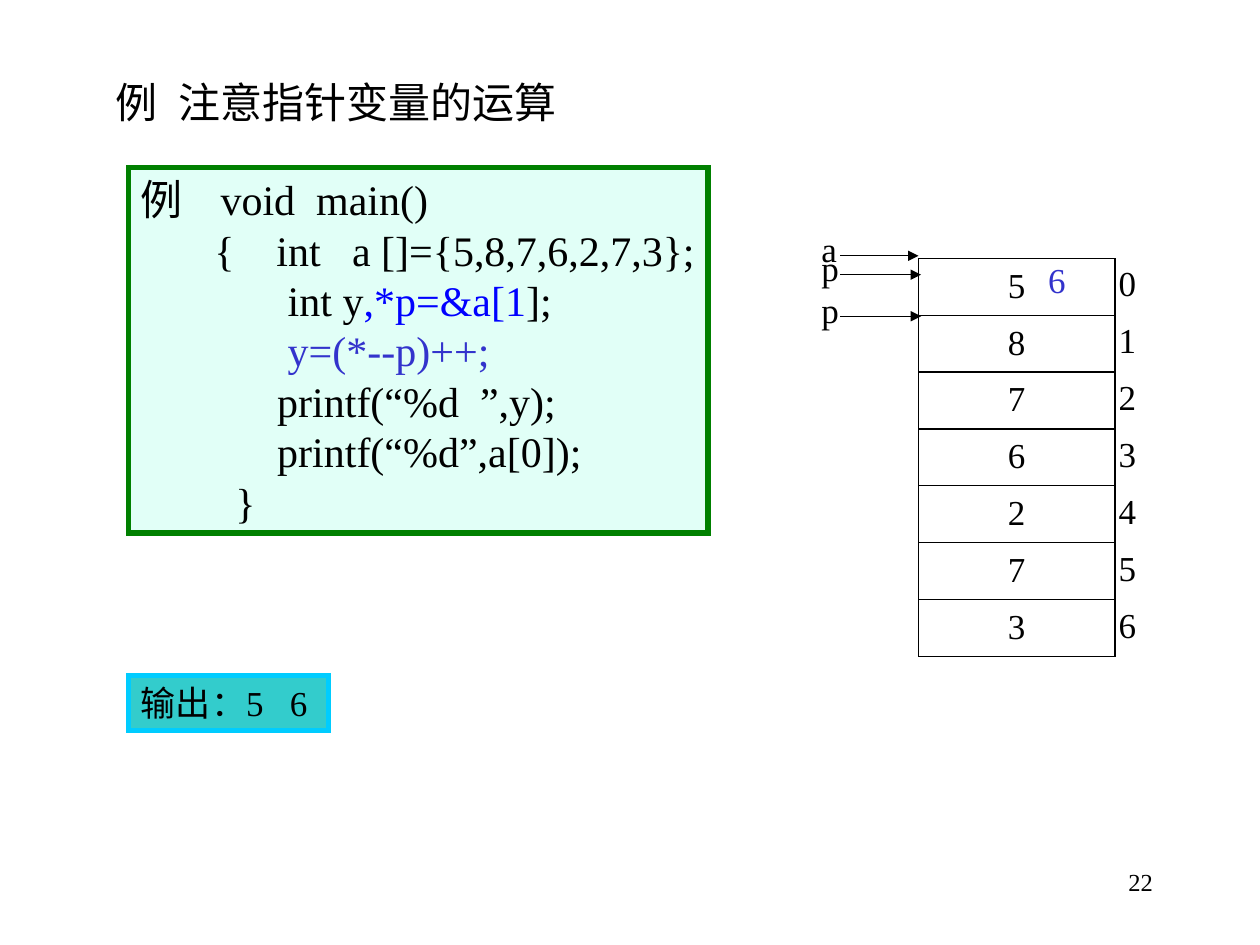
from lxml import etree
from pptx import Presentation
from pptx.dml.color import RGBColor
from pptx.enum.shapes import MSO_CONNECTOR, MSO_SHAPE
from pptx.enum.text import MSO_ANCHOR, MSO_AUTO_SIZE, PP_ALIGN
from pptx.oxml.ns import qn
from pptx.util import Inches, Pt

RECTANGLE = MSO_SHAPE.RECTANGLE
STRAIGHT = MSO_CONNECTOR.STRAIGHT
TOP = MSO_ANCHOR.TOP
FIXED = MSO_AUTO_SIZE.NONE
LEFT, RIGHT = PP_ALIGN.LEFT, PP_ALIGN.RIGHT
FONT = "Times New Roman"
COLORS = {
    "ink": "000000", "paper": "FFFFFF", "code": "E1FFF7", "code_edge": "008000",
    "output": "33CCCC", "output_edge": "00CCFF", "pointer": "0000FF", "change": "3333CC",
}

deck = Presentation()
deck.slide_width, deck.slide_height = Inches(10), Inches(7.5)
slide = deck.slides.add_slide(deck.slide_layouts[5])


def write(text, left, top, width, height, size=20, color="ink", fill=None, edge=None,
          align=LEFT, tab=None, indent=0, box=None):
    if box is None:
        box = slide.shapes.add_shape(RECTANGLE, 0, 0, 0, 0)
        box.shadow.inherit = False
    box.left, box.top, box.width, box.height = map(Inches, (left, top, width, height))
    box.fill.background()
    if fill:
        box.fill.solid()
        box.fill.fore_color.rgb = RGBColor.from_string(COLORS[fill])
    box.line.fill.background()
    if edge:
        box.line.color.rgb = RGBColor.from_string(COLORS[edge])
        box.line.width = Pt(0.75 if edge == "ink" else 3)
        etree.SubElement(box.line._get_or_add_ln(), qn("a:miter"), lim="800000")
    frame = box.text_frame
    frame.word_wrap, frame.auto_size, frame.vertical_anchor = True, FIXED, TOP
    frame.margin_left, frame.margin_right = Inches(0.1), 0
    frame.margin_top = frame.margin_bottom = Inches(0.05)
    lines = [[(text, color)]] if isinstance(text, str) else text
    for number, line in enumerate(lines):
        paragraph = frame.add_paragraph() if number else frame.paragraphs[0]
        paragraph.alignment = align
        paragraph.line_spacing = Pt(size * 1.2)
        properties = paragraph._p.get_or_add_pPr()
        properties.set("marL", str(Inches(indent)))
        properties.set("indent", "0")
        if tab:
            stops = etree.SubElement(properties, qn("a:tabLst"))
            etree.SubElement(stops, qn("a:tab"), pos=str(Inches(tab)), algn="l")
        for words, shade in line:
            run = paragraph.add_run()
            run.text = words
            run.font.name, run.font.size = FONT, Pt(size)
            run.font.color.rgb = RGBColor.from_string(COLORS[shade])


def draw_line(start, end, y, arrow=False):
    rule = slide.shapes.add_connector(STRAIGHT, *map(Inches, (start, y, end, y)))
    rule.line.color.rgb = RGBColor.from_string(COLORS["ink"])
    rule.line.width = Pt(0.75)
    if arrow:
        etree.SubElement(rule.line._get_or_add_ln(), qn("a:tailEnd"), type="triangle")
    etree.SubElement(rule._element.spPr, qn("a:effectLst"))


write("例\t注意指针变量的运算", 0.82, 0.56, 3.9, 0.5, size=24, tab=0.5,
      box=slide.shapes.title)
write("22", 7.17, 6.83, 1.98, 0.5, size=14, align=RIGHT)
write("6", 7.67, 2, 1.08, 0.44, color="change", fill="paper", indent=0.55)

program = [
    [("例    void  main()", "ink")],
    [("       {    int   a []={5,8,7,6,2,7,3};", "ink")],
    [("              int y", "ink"), (",*p=&a[1", "pointer"), ("];", "ink")],
    [("              y=(*--p)++;", "change")],
    [("             printf(“%d  ”,y);", "ink")],
    [("             printf(“%d”,a[0]);", "ink")],
    [("         }", "ink")],
]
write(program, 1.02, 1.33, 4.6, 2.9, size=24, fill="code", edge="code_edge")
write("输出：5   6", 1.02, 5.36, 1.59, 0.44, fill="output", edge="output_edge")

values = [5, 8, 7, 6, 2, 7, 3]
array_left, array_top, array_width, array_height = 7.29, 2.05, 1.56, 3.16
array_right = array_left + array_width
row_height = array_height / len(values)
write("", array_left, array_top, array_width, array_height, edge="ink")
for index, value in enumerate(values):
    row_top = array_top + index * row_height
    if index:
        draw_line(array_left, array_right, row_top)
    write(str(value), 7.9, row_top - 0.01, 0.34, 0.44)
    write(str(index), 8.78, row_top - 0.02, 0.34, 0.44)

for name, y, tip in [("a", 2.03, 7.29), ("p", 2.18, 7.31), ("p", 2.51, 7.31)]:
    draw_line(6.67, tip, y, arrow=True)
    write(name, 6.42, y - 0.27, 0.34, 0.44)

deck.save("out.pptx")
